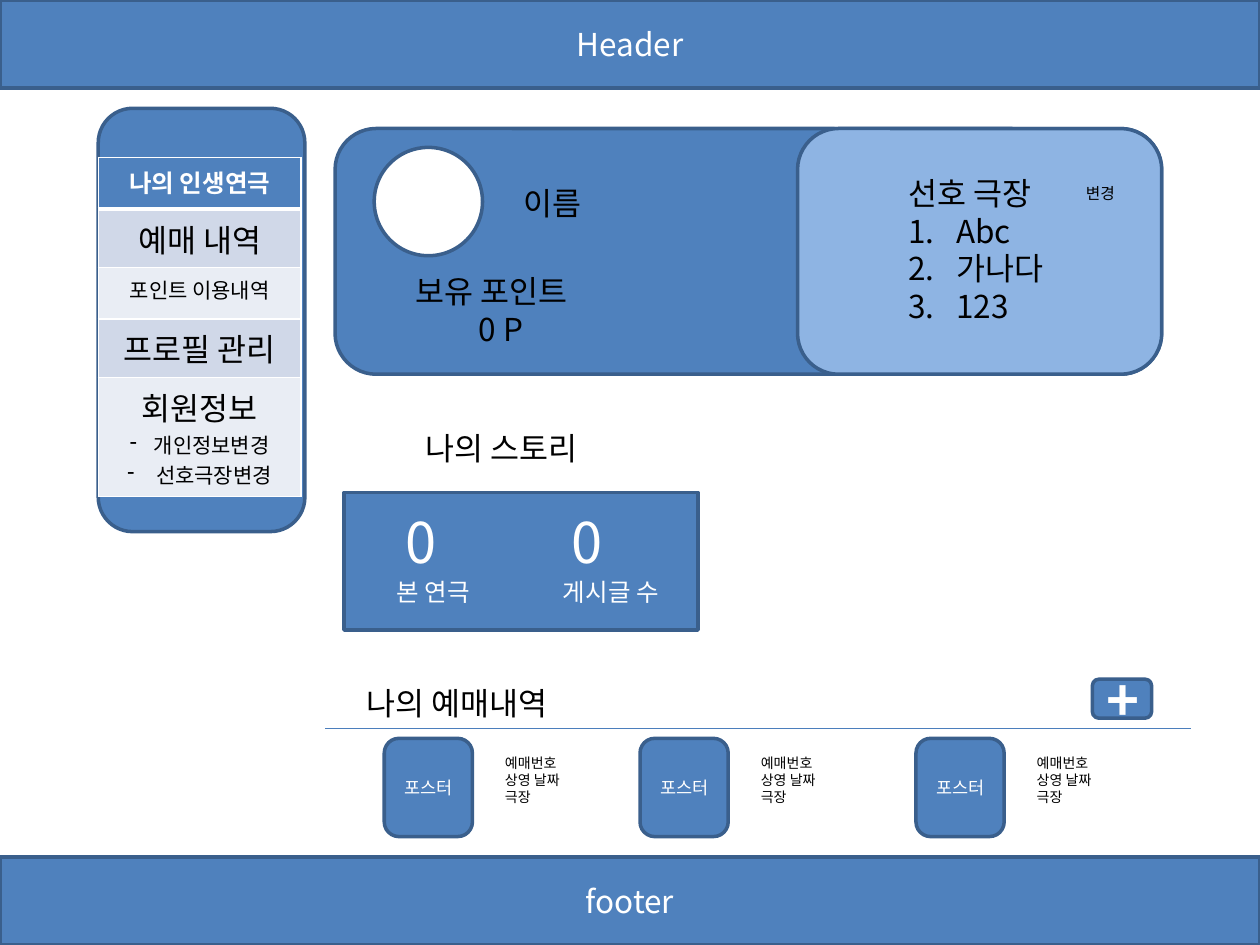
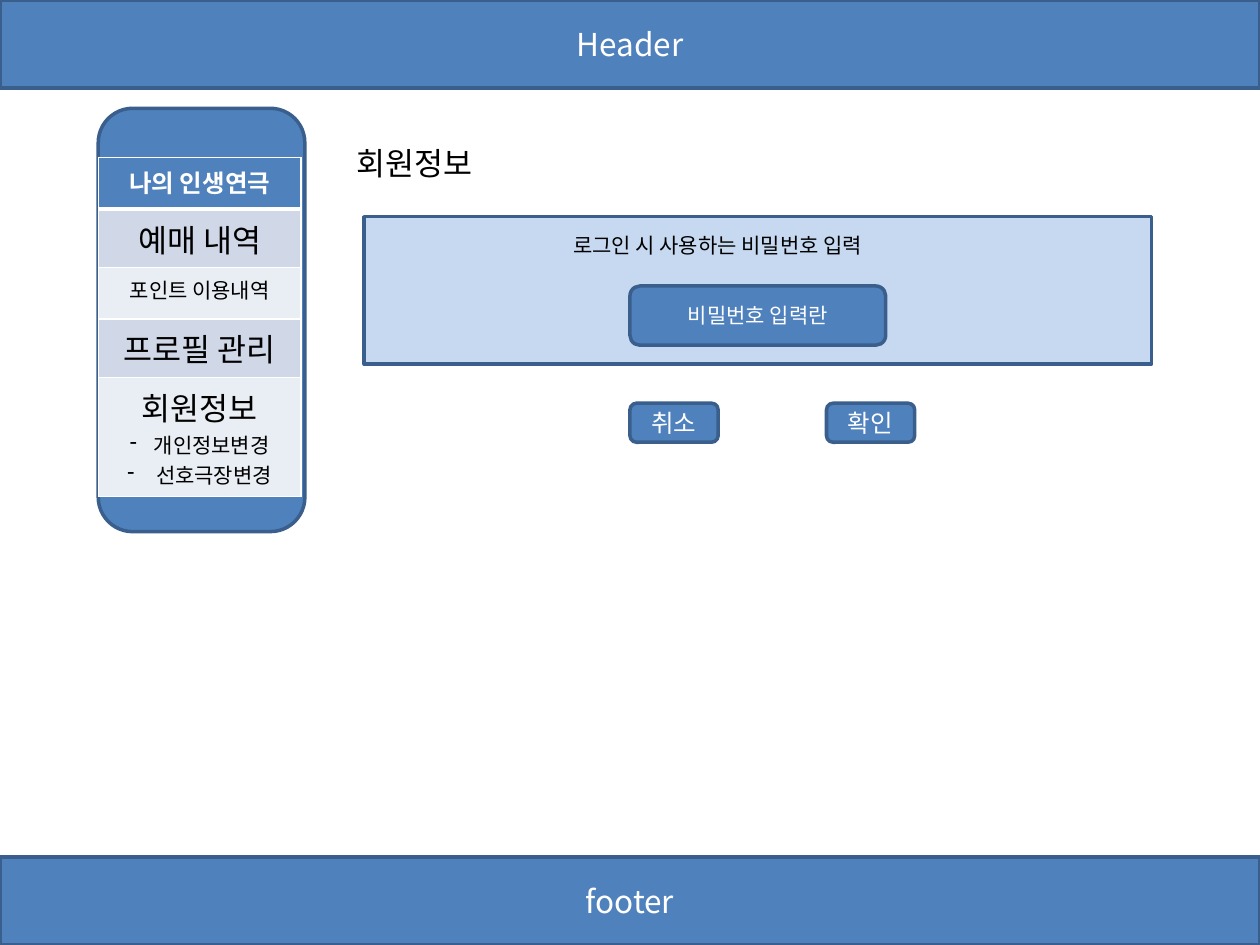
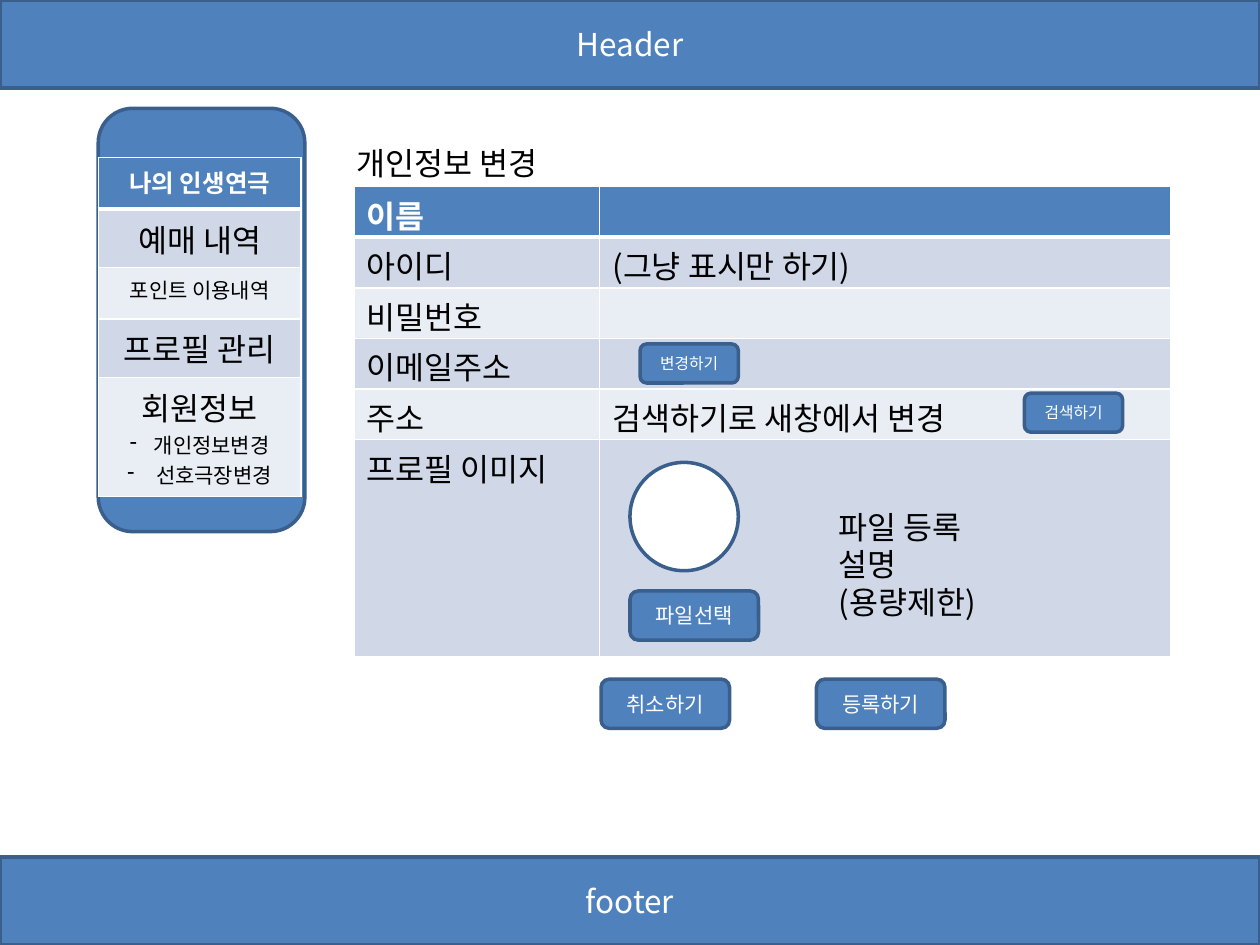
from dataclasses import dataclass
from lxml.etree import SubElement as Sub
from pptx import Presentation
from pptx.dml.color import RGBColor as Rgb
from pptx.enum.shapes import MSO_CONNECTOR as Link, MSO_SHAPE as Kind
from pptx.enum.text import MSO_ANCHOR as Anchor, PP_ALIGN as Align
from pptx.oxml.ns import qn
from pptx.util import Inches, Pt


@dataclass(frozen=True)
class Theme:
    font: str = "Noto Sans CJK KR"
    blue: str = "4F81BD"
    edge: str = "3A5F8C"
    rule: str = "4B7EBC"
    sky: str = "8EB4E3"
    pale: str = "C6D9F1"
    dark: str = "D0D8E8"
    light: str = "E9EDF4"
    white: str = "FFFFFF"
    black: str = "000000"
    huge: int = 32
    body: int = 18
    mid: int = 14
    small: int = 12
    tag: int = 10
    tiny: int = 9
    note: int = 8


T = Theme()
ROUND, RECT, OVAL = Kind.ROUNDED_RECTANGLE, Kind.RECTANGLE, Kind.OVAL


def write(frame, lines, ink, align=Align.LEFT, bold=False):
    """Fill a frame; each line is (text, size) or (text, size, bullet, hang)."""
    for i, (words, size, *mark) in enumerate(lines):
        para = frame.paragraphs[0] if i == 0 else frame.add_paragraph()
        para.alignment = align
        if mark:
            sign, hang = mark
            props = para._p.get_or_add_pPr()
            props.set("marL", str(Inches(hang)))
            props.set("indent", str(-Inches(hang)))
            if sign == "1.":
                Sub(props, qn("a:buFont"), typeface="+mj-lt")
                Sub(props, qn("a:buAutoNum"), type="arabicPeriod")
            else:
                Sub(props, qn("a:buFontTx"))
                Sub(props, qn("a:buChar"), char=sign)
        for j, part in enumerate(words.split("\n")):
            if j:
                para.add_line_break()
            run = para.add_run()
            run.text = part
            run.font.size = Pt(size)
            run.font.bold = bold
            run.font.color.rgb = Rgb.from_string(ink)
            run.font.name = T.font
            Sub(run._r.get_or_add_rPr(), qn("a:ea"), typeface=T.font)


def box(slide, kind, spot, lines=(), fill=T.blue, ink=T.white, bold=False):
    """Add a preset shape, or a plain text box when kind is None."""
    area = [Inches(n) for n in spot]
    if kind is None:
        frame = slide.shapes.add_textbox(*area).text_frame
        frame.word_wrap = True
        write(frame, lines, ink)
        return
    shape = slide.shapes.add_shape(kind, *area)
    shape.shadow.inherit = False
    shape.fill.solid()
    shape.fill.fore_color.rgb = Rgb.from_string(fill)
    shape.line.color.rgb = Rgb.from_string(T.edge)
    shape.line.width = Pt(2)
    shape.text_frame.vertical_anchor = Anchor.MIDDLE
    write(shape.text_frame, lines, ink, Align.CENTER, bold)


# Tables: left, top, column widths, row heights, alignment, cell margins, rows
menu = (0.78, 1.25, [1.61], [0.41] * 4 + [0.81], Align.CENTER, (0.05, 0.05), [
    [[("나의 인생연극", T.mid)]],
    [[("예매 내역", T.body)]],
    [[("포인트 이용내역", T.small)]],
    [[("프로필 관리", T.body)]],
    [[("회원정보", T.body),
      ("개인정보변경", T.small, "-", 0.19),
      (" 선호극장변경", T.small, "-", 0.19)]],
])
fields = [
    ("이름", ""),
    ("아이디", "(그냥 표시만 하기)"),
    ("비밀번호", ""),
    ("이메일주소", ""),
    ("주소", "검색하기로 새창에서 변경"),
    ("프로필 이미지", ""),
]
form = (2.81, 1.48, [1.95, 4.53], [0.4] * 5 + [1.72], Align.LEFT, (0.04, 0),
        [[[(word, T.body)] if word else [] for word in row] for row in fields])

# Shared parts of every page
deck = Presentation()
deck.slide_width, deck.slide_height = Inches(10), Inches(7.5)
pages = []
for grids in ([menu], [menu], [menu, form]):
    page = deck.slides.add_slide(deck.slide_layouts[6])
    pages.append(page)
    box(page, RECT, (0, 0, 10, 0.7), [("Header", T.body)])
    box(page, RECT, (0, 6.8, 10, 0.7), [("footer", T.body)])
    box(page, ROUND, (0.78, 0.86, 1.64, 3.36))
    for left, top, wide, high, align, pad, rows in grids:
        table = page.shapes.add_table(
            len(high), len(wide), Inches(left), Inches(top),
            Inches(sum(wide)), Inches(sum(high))).table
        for col, size in zip(table.columns, wide):
            col.width = Inches(size)
        for r, row in enumerate(rows):
            table.rows[r].height = Inches(high[r])
            for c, lines in enumerate(row):
                cell = table.cell(r, c)
                cell.margin_top, cell.margin_bottom = map(Inches, pad)
                tone = T.blue if r == 0 else (T.light, T.dark)[r % 2]
                cell.fill.solid()
                cell.fill.fore_color.rgb = Rgb.from_string(tone)
                write(cell.text_frame, lines, T.black if r else T.white,
                      align, r == 0)
                props = cell._tc.get_or_add_tcPr()
                for i, side in enumerate("LRTB"):
                    thick = (r, side) in ((0, "B"), (1, "T"))
                    line = Sub(props, qn("a:ln" + side), w=str(Pt(3 if thick else 1)))
                    Sub(Sub(line, qn("a:solidFill")), qn("a:srgbClr"), val=T.white)
                    props.insert(i, line)
home, login, edit = pages

# Home: profile card
box(home, ROUND, (2.66, 1.02, 6.56, 1.95))
box(home, OVAL, (2.97, 1.17, 0.86, 0.86), fill=T.white)
box(home, None, (4.06, 1.41, 0.78, 0.4), [("이름", T.body)], ink=T.black)
box(home, ROUND, (6.33, 1.02, 2.89, 1.95), fill=T.sky)
box(home, None, (3.2, 2.11, 1.64, 0.71), [("보유 포인트\n\t0 P", T.body)], ink=T.black)
halls = [(name, T.body, "1.", 0.38) for name in ("Abc", "가나다", "123")]
box(home, None, (7.11, 1.33, 1.88, 1.31), [("선호 극장", T.body)] + halls, ink=T.black)
box(home, None, (8.52, 1.41, 0.47, 0.25), [("변경", T.tiny)], ink=T.black)

# Home: story counts
box(home, RECT, (2.73, 3.91, 2.81, 1.09))
box(home, None, (3.28, 3.36, 1.64, 0.4), [("나의 스토리", T.body)], ink=T.black)
for x, label in ((3.05, "본 연극"), (4.37, "게시글 수")):
    box(home, None, (x + 0.07, 3.98, 0.55, 0.64), [("0", T.huge)])
    box(home, None, (x, 4.53, 1.33, 0.34), [(label, T.mid)])

# Home: bookings
box(home, None, (2.81, 5.38, 2.11, 0.4), [("나의 예매내역", T.body)], ink=T.black)
facts = [(word, T.note) for word in ("예매번호", "상영 날짜", "극장")]
for x in (3.05, 5.08, 7.27):
    box(home, ROUND, (x, 5.86, 0.7, 0.78), [("포스터", T.tag)])
    box(home, None, (x + 0.86, 5.94, 0.86, 0.5), facts, ink=T.black)
box(home, ROUND, (8.67, 5.39, 0.47, 0.31), [("+", T.huge)], bold=True)
rule = home.shapes.add_connector(
    Link.STRAIGHT, Inches(2.58), Inches(5.78), Inches(9.45), Inches(5.78))
rule.line.color.rgb = Rgb.from_string(T.rule)
rule.line.width = Pt(0.75)
Sub(rule._element.spPr, qn("a:effectLst"))

# Page titles
for page, title in ((login, "회원정보"), (edit, "개인정보 변경")):
    box(page, None, (2.73, 1.09, 2.66, 0.4), [(title, T.body)], ink=T.black)

# Login: password check
box(login, RECT, (2.89, 1.72, 6.25, 1.17), fill=T.pale)
box(login, None, (4.45, 1.8, 2.89, 0.3),
    [("로그인 시 사용하는 비밀번호 입력", T.small)], ink=T.black)
box(login, ROUND, (5, 2.27, 2.03, 0.47), [("비밀번호 입력란", T.small)])
for x, label in ((6.56, "확인"), (5, "취소")):
    box(login, ROUND, (x, 3.2, 0.7, 0.31), [(label, T.mid)])

# Edit: image field and buttons
box(edit, OVAL, (5, 3.67, 0.86, 0.86), fill=T.white)
box(edit, None, (6.56, 3.98, 1.64, 0.71),
    [("파일 등록 설명(용량제한)", T.body)], ink=T.black)
for x, y, label in ((5, 4.69, "파일선택"), (6.48, 5.39, "등록하기"),
                    (4.77, 5.39, "취소하기")):
    box(edit, ROUND, (x, y, 1.02, 0.39), [(label, T.small)])
for x, y, label in ((5.08, 2.73, "변경하기"), (8.13, 3.12, "검색하기")):
    box(edit, ROUND, (x, y, 0.78, 0.31), [(label, T.tiny)])

deck.save("out.pptx")
